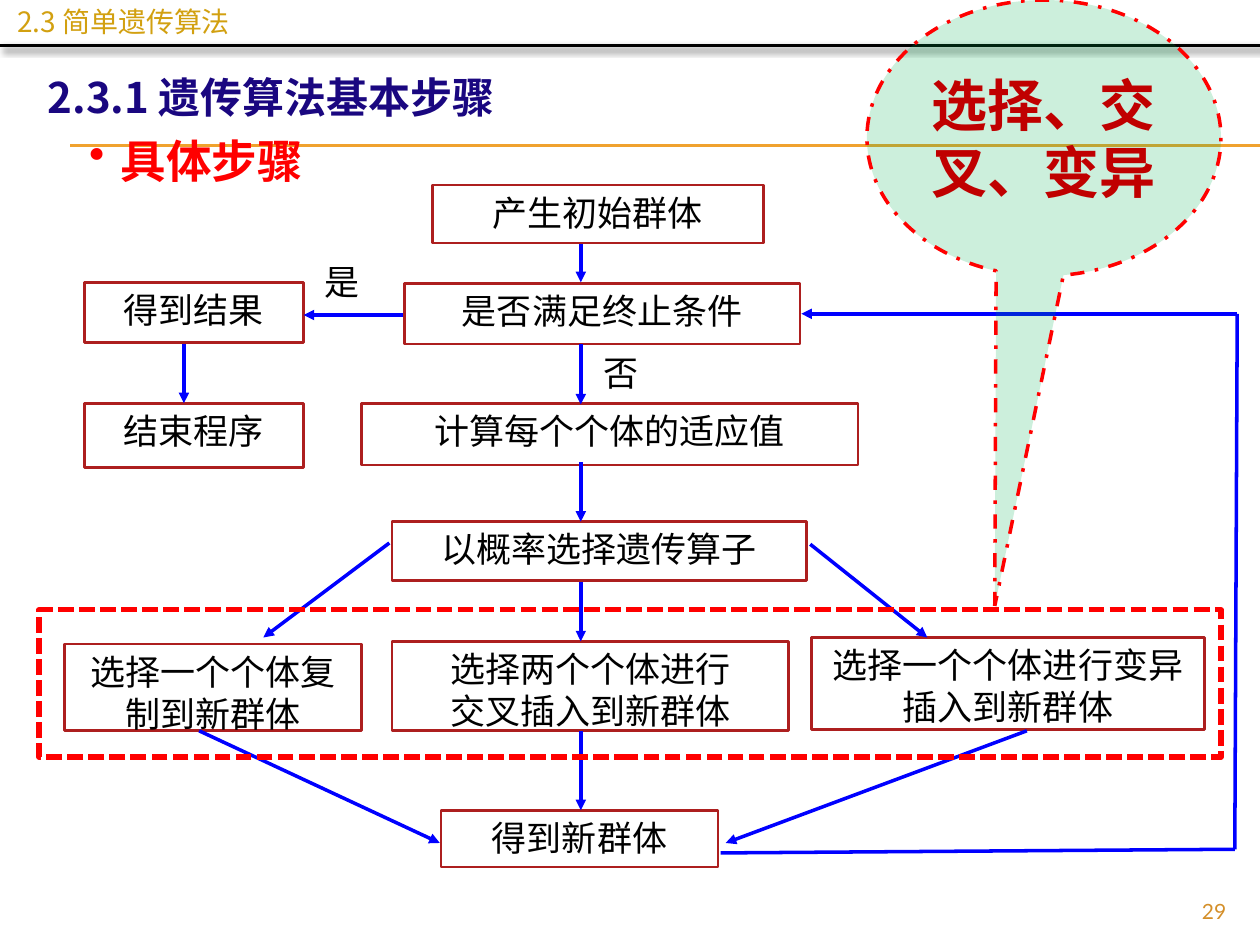
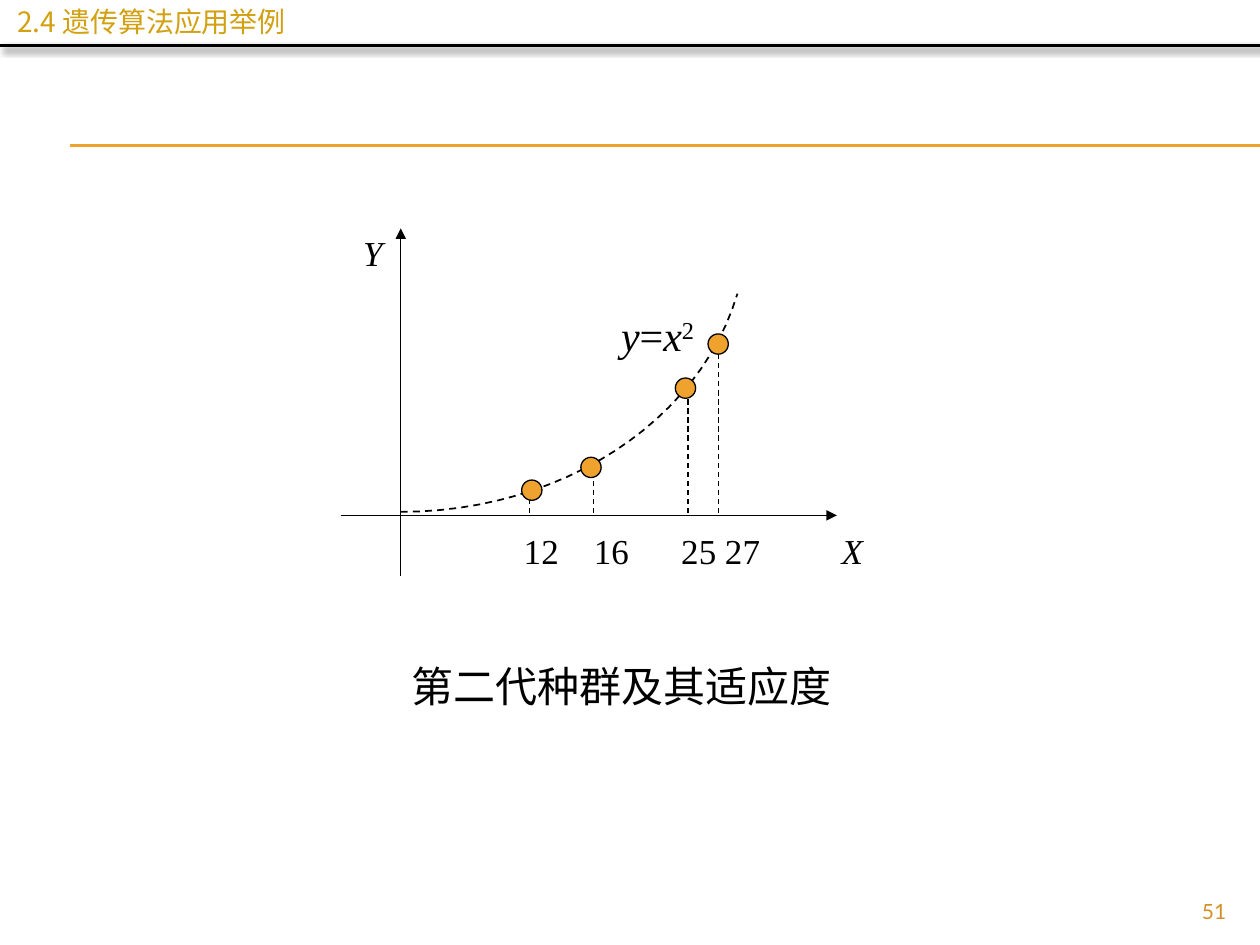
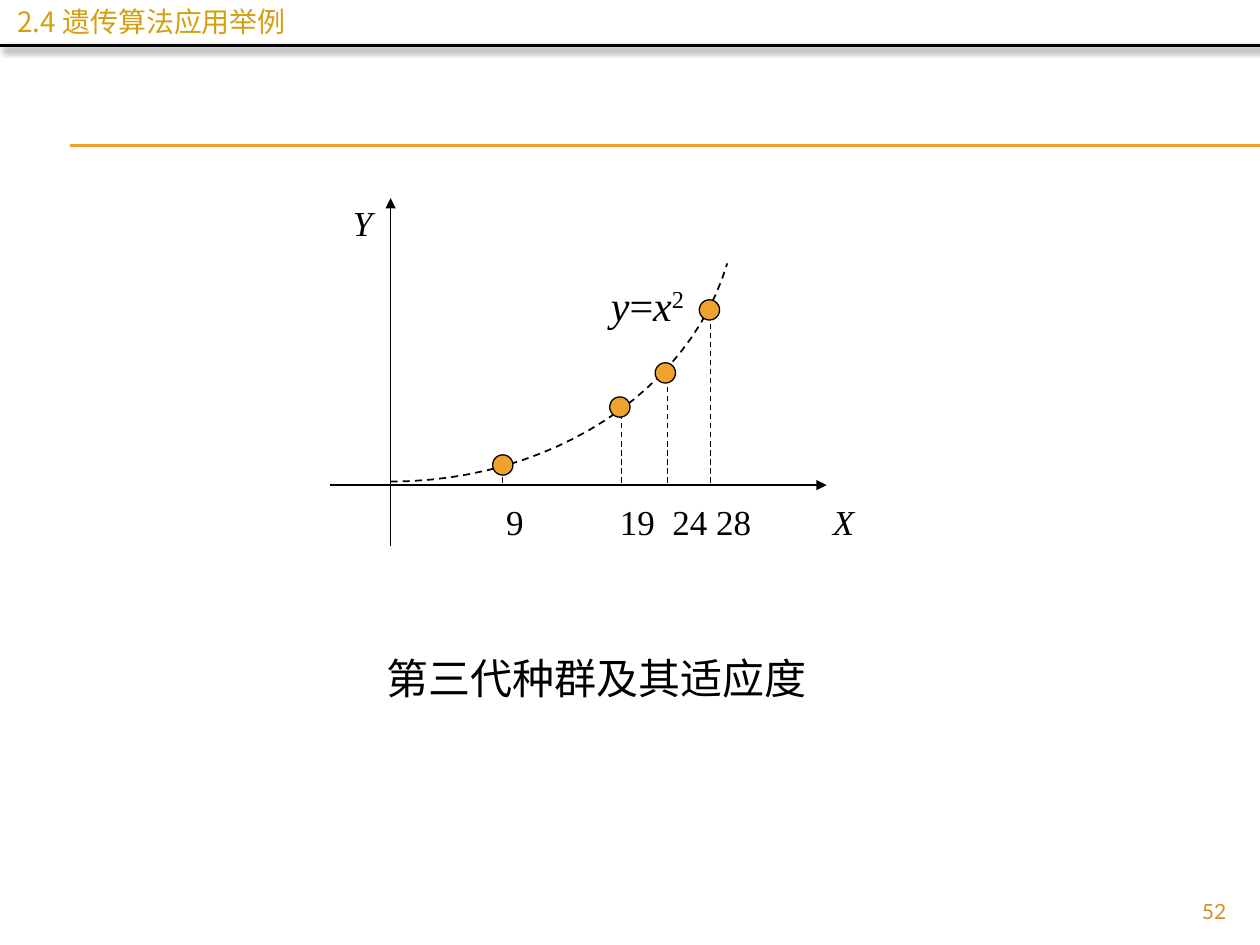
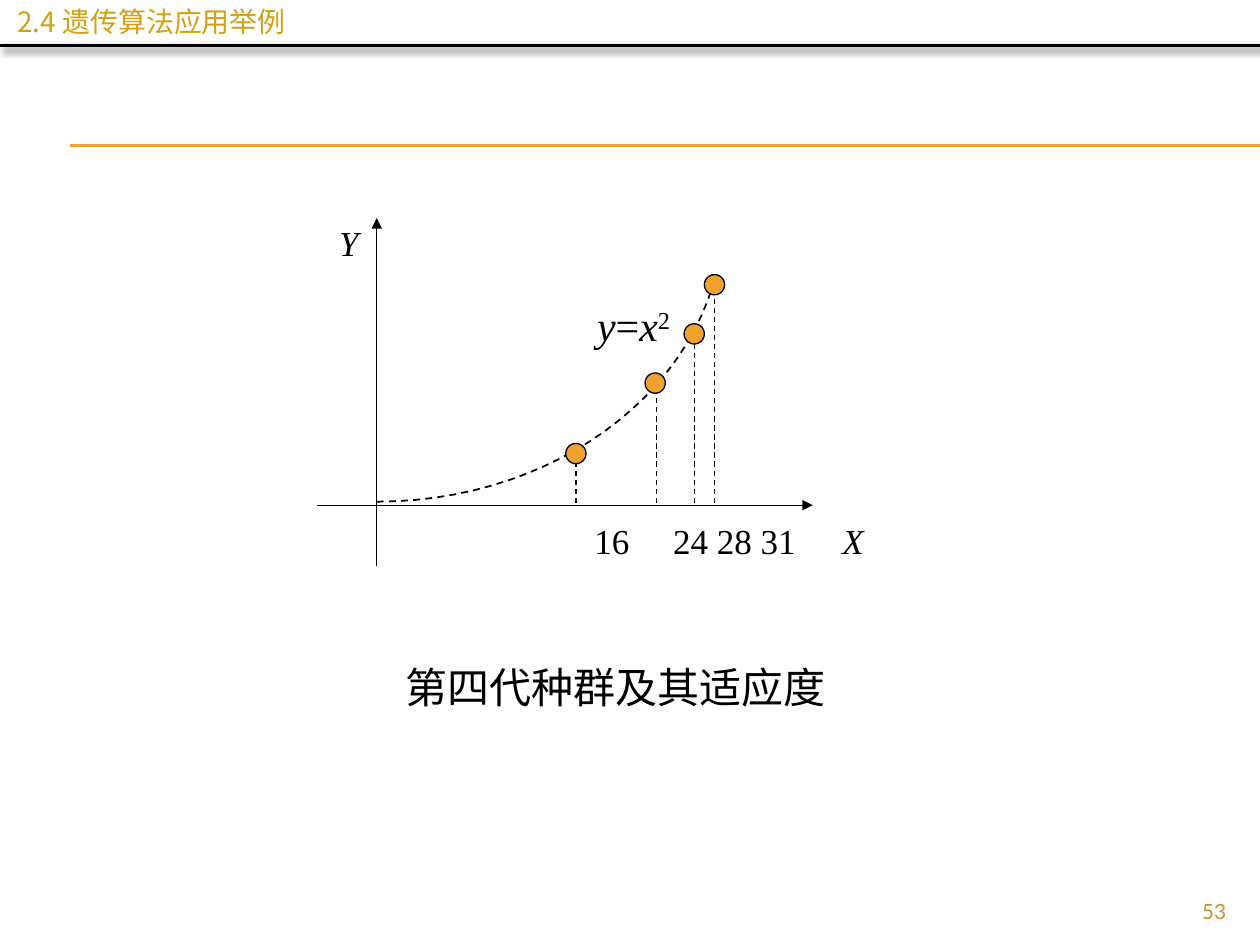
from pptx import Presentation
from pptx.dml.color import RGBColor as Rgb
from pptx.enum.dml import MSO_LINE as Dash
from pptx.enum.shapes import MSO_CONNECTOR as Conn, MSO_SHAPE as Form
from pptx.enum.text import MSO_ANCHOR as Anchor, PP_ALIGN as Align
from pptx.oxml.ns import qn
from pptx.util import Pt
from lxml.etree import SubElement as Sub

# Colours
BLACK = Rgb(0x00, 0x00, 0x00)
WHITE = Rgb(0xFF, 0xFF, 0xFF)
GOLD = Rgb(0xF0, 0xA2, 0x2E)
OCHRE = Rgb(0xD2, 0xA0, 0x10)
AMBER = Rgb(0xD4, 0x8F, 0x29)
NAVY = Rgb(0x1A, 0x07, 0x80)
BLUE = Rgb(0x00, 0x00, 0xFF)
RED = Rgb(0xFF, 0x00, 0x00)
BRICK = Rgb(0xAD, 0x1F, 0x1F)
CRIMSON = Rgb(0xC0, 0x00, 0x00)
GREEN = Rgb(0x00, 0xB0, 0x50)

# Text formats
HAN = "Noto Sans CJK SC"
HEAD = dict(name="Noto Sans CJK JP", size=Pt(16), color=OCHRE)
PAGE = dict(name="Lato", size=Pt(12), color=AMBER)
TITLE = dict(name=HAN, size=Pt(24), color=NAVY, bold=True)
POINT = dict(name=HAN, size=Pt(26), color=RED, bold=True)
STEP = dict(name=HAN, size=Pt(20), color=BLACK)
CALL = dict(name="Lato", size=Pt(32), color=CRIMSON, bold=True)
NAME = dict(name="Arial", size=Pt(24), color=BLACK)
MARK = dict(name="Times New Roman", size=Pt(20), color=BLACK)
AXIS = dict(MARK, italic=True)
MATH = dict(MARK, size=Pt(24))
VAR = dict(MATH, italic=True)
POWER = dict(MATH, raised=True)

# Line formats
RULE = dict(color=GOLD, width=Pt(0.75))
BAND = dict(color=BLACK, width=Pt(2))
FLOW = dict(color=BLUE, width=Pt(2))
EDGE = dict(color=BRICK, width=Pt(1.5))
FRAME = dict(color=RED, width=Pt(3), dash_style=Dash.SQUARE_DOT)
CLOUD = dict(color=RED, width=Pt(2), dash_style=Dash.DASH_DOT)
THIN = dict(color=BLACK, width=Pt(0.75))
STEM = dict(THIN, dash_style=Dash.DASH)
CURVE = dict(STEM, width=Pt(1))


class Deck:
    def __init__(self):
        self.prs = Presentation()
        self.prs.slide_width, self.prs.slide_height = Pt(720), Pt(540)

    def page(self, head, num):
        """Start a slide with its rules, header and number."""
        self.slide = self.prs.slides.add_slide(self.prs.slide_layouts[6])
        self.shapes = self.slide.shapes
        for y in (82.8, 83.5):
            self.line((40.3, y), (720, y), RULE)
        self.text((648, 509.8, 59.8, 19.4), str(num), PAGE, Align.RIGHT)
        self.text((2.9, -0.7, 396.7, 26.6), head, HEAD)
        self.line((0, 26), (720, 26), BAND, shade=True)

    def pen(self, line, fmt):
        for key, val in fmt.items():
            if key == "color":
                line.color.rgb = val
            else:
                setattr(line, key, val)

    def run(self, para, text, fmt):
        run = para.add_run()
        run.text = text
        props = run._r.get_or_add_rPr()
        for key, val in fmt.items():
            if key == "color":
                run.font.color.rgb = val
            elif key == "raised":
                props.set("baseline", "30000")
            else:
                setattr(run.font, key, val)
        Sub(props, qn("a:ea"), typeface=HAN)

    def words(self, frame, text, fmt, align):
        """Fill a frame with a string, or with (string, format) runs."""
        frame.word_wrap = True
        para = frame.paragraphs[0]
        para.alignment = align
        if isinstance(text, str):
            for num, part in enumerate(text.split("\n")):
                if num:
                    para.add_line_break()
                self.run(para, part, fmt)
        else:
            for part, style in text:
                self.run(para, part, style)
        return para

    def text(self, area, text, fmt=None, align=Align.LEFT, pad=True):
        frame = self.shapes.add_textbox(*map(Pt, area)).text_frame
        if not pad:
            for side in ("left", "right", "top", "bottom"):
                setattr(frame, f"margin_{side}", 0)
        return self.words(frame, text, fmt, align)

    def bullet(self, area, text, fmt):
        para = self.text(area, text, fmt)
        para.line_spacing, para.space_before = 0.8, Pt(10)
        props = para._p.get_or_add_pPr()
        props.set("marL", str(Pt(18)))
        props.set("indent", str(-Pt(18)))
        Sub(props, qn("a:buChar"), char="•")

    def tabs(self, area, runs, stops):
        """Add a line of text whose parts stand at tab stops."""
        props = self.text(area, runs)._p.get_or_add_pPr()
        tabs = Sub(props, qn("a:tabLst"))
        for stop in stops:
            Sub(tabs, qn("a:tab"), pos=str(Pt(stop)), algn="l")

    def shape(self, form, area, fmt, fill=None):
        shape = self.shapes.add_shape(form, *map(Pt, area))
        shape.shadow.inherit = False
        if fill is None:
            shape.fill.background()
        else:
            shape.fill.solid()
            shape.fill.fore_color.rgb = fill
        self.pen(shape.line, fmt)
        return shape

    def box(self, area, text):
        frame = self.shape(Form.RECTANGLE, area, EDGE, WHITE).text_frame
        frame.vertical_anchor = Anchor.TOP
        self.words(frame, text, STEP, Align.CENTER)

    def bubble(self, area, text, tip):
        shape = self.shape(Form.OVAL_CALLOUT, area, CLOUD, GREEN)
        for num, val in enumerate(tip):
            shape.adjustments[num] = val
        tint = shape._element.spPr.find(".//" + qn("a:srgbClr"))
        Sub(tint, qn("a:alpha"), val="20000")
        shape.text_frame.vertical_anchor = Anchor.MIDDLE
        self.words(shape.text_frame, text, CALL, Align.CENTER)

    def line(self, start, end, fmt, arrow=False, shade=False):
        link = self.shapes.add_connector(
            Conn.STRAIGHT, *map(Pt, start + end))
        self.pen(link.line, fmt)
        props = link._element.spPr
        if arrow:
            Sub(props.find(qn("a:ln")), qn("a:tailEnd"), type="triangle")
        fx = Sub(props, qn("a:effectLst"))
        if shade:
            cast = Sub(fx, qn("a:outerShdw"), blurRad=str(Pt(4)),
                       dist=str(Pt(3)), dir="2700000")
            tint = Sub(cast, qn("a:srgbClr"), val=str(BLACK))
            Sub(tint, qn("a:alpha"), val="40000")

    def curve(self, knots, fmt, steps=24):
        """Draw a cubic curve through its four control points."""
        dots = []
        for num in range(steps + 1):
            t = num / steps
            s = 1 - t
            mix = (s ** 3, 3 * s * s * t, 3 * s * t * t, t ** 3)
            dots.append(tuple(Pt(sum(m * v for m, v in zip(mix, axis)))
                              for axis in zip(*knots)))
        pen = self.shapes.build_freeform(*dots[0])
        pen.add_line_segments(dots[1:], close=False)
        shape = pen.convert_to_shape()
        shape.shadow.inherit = False
        shape.fill.background()
        self.pen(shape.line, fmt)

    def graph(self, zero, dots, row, marks, stops, name, area):
        """Plot one generation on the parabola; places count from zero."""
        def at(x, y):
            return zero[0] + x, zero[1] + y

        for x, y, foot in dots:
            self.line(at(foot, -1.4), at(foot, y), STEM)
        self.text((*at(118.8, -121), 62.6, 36),
                  [("y", VAR), ("=", MATH), ("x", VAR), ("2", POWER)])
        self.line(at(-34.4, 0), at(249.2, 0), THIN, arrow=True)
        self.tabs(row, [("\t", NAME), ("\t".join(marks), MARK),
                        ("\t", NAME), ("X", AXIS)], stops)
        self.text((*at(-28.6, -165.6), 22.3, 31), "Y", AXIS)
        self.line(at(0, 34.6), at(0, -164), THIN, arrow=True)
        self.curve([at(0, -2), at(91.4, -2), at(170.6, -53.3),
                    at(192.4, -126.7)], CURVE)
        for x, y, _ in dots:
            self.shape(Form.OVAL, (*at(x - 5.8, y - 5.8), 11.6, 11.6),
                       THIN, GOLD)
        self.text(area, name, NAME, pad=False)


# Flow chart of the algorithm
BOXES = [
    ((247, 105.8, 189.4, 33.2), "产生初始群体"),
    ((231.1, 162, 226.1, 34.6), "是否满足终止条件"),
    ((48.2, 161.3, 125.3, 34.6), "得到结果"),
    ((48.2, 230.4, 125.3, 36.7), "结束程序"),
    ((206.6, 230.4, 283.7, 35.3), "计算每个个体的适应值"),
    ((223.9, 298.1, 236.9, 33.8), "以概率选择遗传算子"),
    ((36.7, 367.9, 169.9, 49.7), "选择一个个体复制到新群体"),
    ((223.9, 366.5, 226.8, 51.1), "选择两个个体进行\n交叉插入到新群体"),
    ((463.7, 364.3, 224.6, 52.6), "选择一个个体进行变异插入到新群体"),
    ((252, 463, 158.4, 32.4), "得到新群体"),
]
MID = 331.9
DROPS = [(139.7, 161.3), (196.6, 231.1), (264.2, 298.1),
         (332.6, 366.5), (417.6, 463)]
ARROWS = [((MID, top), (MID, end)) for top, end in DROPS] + [
    ((105.1, 196.6), (105.1, 230.4)),
    ((222.5, 310.3), (150.5, 364.3)),
    ((463, 311), (529.9, 364.3)),
    ((113.8, 417.6), (251.3, 481.7)),
    ((586.8, 417.6), (414.7, 481.7)),
    ((230.4, 180), (173.5, 180)),
]
BACK = [(411.8, 487.4), (705.6, 485.3), (707, 179.3), (457.9, 179.3)]

# Generations: dots are x, y and foot of the stem
GRAPHS = [
    dict(zero=(229, 294.5),
         dots=[(74.9, -14.4, 73.4), (108.7, -27.4, 110.2),
               (162.7, -72.7, 164.2), (181.4, -97.9, 181.4)],
         row=(245.5, 295.2, 260.6, 31), marks=("12", "16", "25", "27"),
         stops=(46.7, 86.7, 136.7, 161.7, 228.4),
         name="第二代种群及其适应度", area=(235.4, 377.3, 328.3, 28.8)),
    dict(zero=(223.2, 277.2),
         dots=[(64.1, -11.5, 64.1), (131, -44.6, 131.8),
               (157, -64.1, 158.4), (182.2, -100.1, 182.9)],
         row=(235.4, 278.6, 288.7, 36.7), marks=("9", "19", "24", "28"),
         stops=(46.7, 111.7, 141.7, 166.7, 233.4),
         name="第三代种群及其适应度", area=(221, 373, 318.2, 28.8)),
    dict(zero=(215.3, 288.7),
         dots=[(113.8, -29.5, 113.8), (159.1, -69.8, 159.8),
               (181.4, -97.9, 181.4), (193, -126, 193)],
         row=(232.6, 289.4, 276.5, 36.7), marks=("16", "24", "28", "31"),
         stops=(100, 145, 170, 195, 241.7),
         name="第四代种群及其适应度", area=(231.8, 378, 251.3, 28.8)),
]


def main():
    deck = Deck()

    # Steps of the algorithm
    deck.page("2.3 简单遗传算法", 29)
    deck.text((20.2, 37.4, 442.1, 36), "2.3.1 遗传算法基本步骤", TITLE)
    deck.bullet((43.9, 78.5, 655.2, 32.4), "具体步骤", POINT)
    for area, text in BOXES:
        deck.box(area, text)
    deck.text((178.6, 145.4, 42.5, 38.9), "是", STEP, Align.JUSTIFY)
    deck.text((337.7, 197.3, 44.6, 38.9), "否", STEP, Align.JUSTIFY)
    for start, end in ARROWS:
        deck.line(start, end, FLOW, arrow=True)
    for start, end in zip(BACK, BACK[1:]):
        deck.line(start, end, FLOW, arrow=end == BACK[-1])
    deck.shape(Form.RECTANGLE, (22.3, 348.5, 675.4, 84.2), FRAME)
    deck.bubble((495.4, 0, 202.3, 157.7), "选择、交叉、变异", (-0.139, 1.696))

    # Generations two to four
    for num, graph in enumerate(GRAPHS, 51):
        deck.page("2.4 遗传算法应用举例", num)
        deck.graph(**graph)

    deck.prs.save("out.pptx")


if __name__ == "__main__":
    main()
